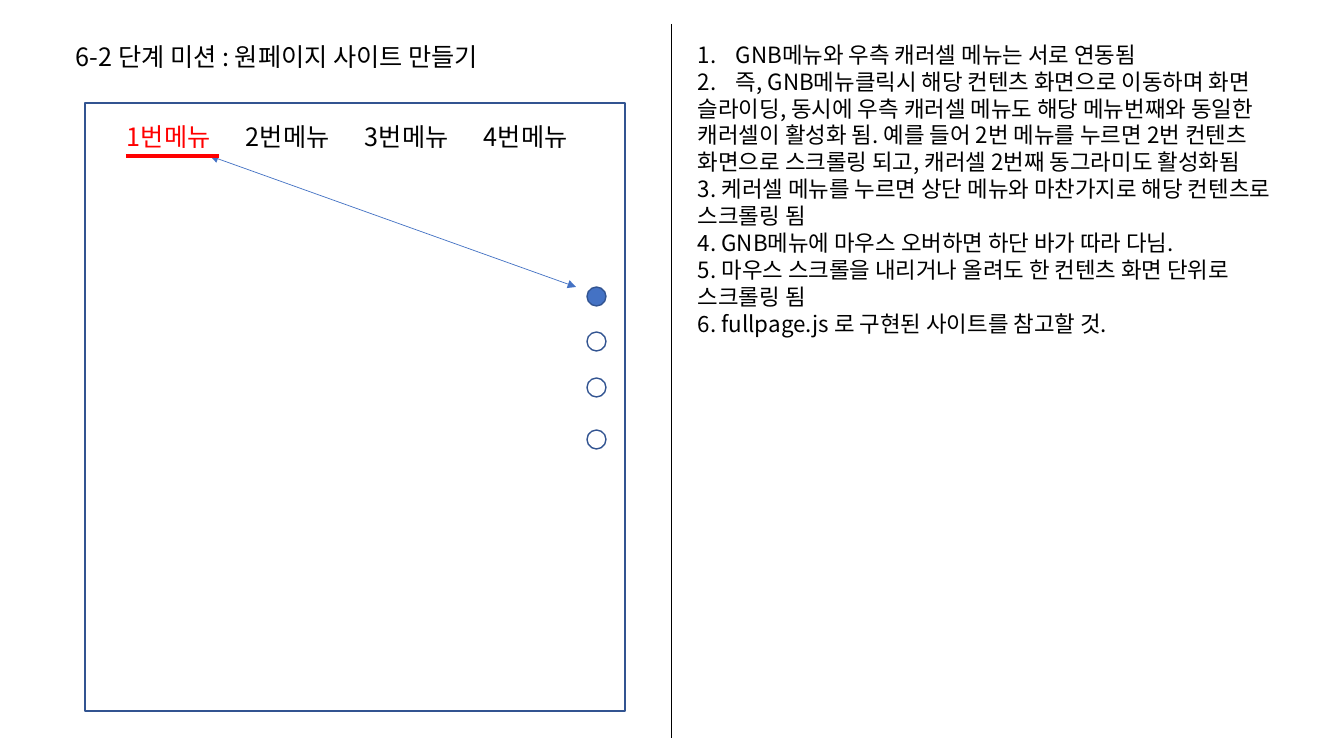
import dataclasses

import pptx
import pptx.dml.color
import pptx.enum.shapes
import pptx.enum.text
import pptx.oxml.ns
import pptx.util
from lxml import etree

EMU_PER_PX = 914400 / 100.8


@dataclasses.dataclass(frozen=True)
class Theme:
    font: str = "Noto Sans CJK KR"
    ink: str = "000000"
    paper: str = "FFFFFF"
    active: str = "FF0000"
    accent: str = "4472C4"
    outline: str = "325491"
    heading_size: int = 18
    note_size: int = 16
    line_height: float = 1.2
    hairline: float = 0.5
    border: float = 1
    bar: float = 2.25


def px(length):
    return pptx.util.Emu(round(length * EMU_PER_PX))


def rgb(code):
    return pptx.dml.color.RGBColor.from_string(code)


def add_element(parent, tag, **attributes):
    return etree.SubElement(parent, pptx.oxml.ns.qn(tag), attributes)


class Painter:
    """Draws elements on the current page in one theme."""

    def __init__(self, page, theme):
        self.page = page
        self.theme = theme

    def text(self, left, top, width, height, lines, size, color, numbered=0):
        box = self.page.shapes.add_textbox(px(left), px(top), px(width), px(height))
        frame = box.text_frame
        frame.word_wrap = False
        frame.auto_size = pptx.enum.text.MSO_AUTO_SIZE.SHAPE_TO_FIT_TEXT
        for index, line in enumerate(lines):
            para = frame.paragraphs[0] if index == 0 else frame.add_paragraph()
            para.line_spacing = pptx.util.Pt(size * self.theme.line_height)
            if index < numbered:
                self.number(para)
            span = para.add_run()
            span.text = line
            span.font.size = pptx.util.Pt(size)
            span.font.color.rgb = rgb(color)
            span.font.name = self.theme.font
            add_element(span.font._element, "a:ea", typeface=self.theme.font)

    def number(self, para):
        properties = para._p.get_or_add_pPr()
        properties.set("marL", str(px(38)))
        properties.set("indent", str(px(-38)))
        add_element(properties, "a:buFont", typeface=self.theme.font)
        add_element(properties, "a:buAutoNum", type="arabicPeriod")

    def shape(self, kind, left, top, width, height, fill=None):
        shape = self.page.shapes.add_shape(kind, px(left), px(top), px(width), px(height))
        shape.shadow.inherit = False
        if fill:
            shape.fill.solid()
            shape.fill.fore_color.rgb = rgb(fill)
        else:
            shape.fill.background()
        shape.line.color.rgb = rgb(self.theme.outline)
        shape.line.width = pptx.util.Pt(self.theme.border)

    def line(self, start, end, color, weight, arrows=False):
        line = self.page.shapes.add_connector(
            pptx.enum.shapes.MSO_CONNECTOR.STRAIGHT, *map(px, start + end))
        line.line.color.rgb = rgb(color)
        line.line.width = pptx.util.Pt(weight)
        if arrows:
            for tag in ("a:headEnd", "a:tailEnd"):
                add_element(line.line._get_or_add_ln(), tag, type="triangle")
        add_element(line._element.spPr, "a:effectLst")


NOTES = [
    "GNB메뉴와 우측 캐러셀 메뉴는 서로 연동됨",
    "즉, GNB메뉴클릭시 해당 컨텐츠 화면으로 이동하며 화면",
    "슬라이딩, 동시에 우측 캐러셀 메뉴도 해당 메뉴번째와 동일한",
    "캐러셀이 활성화 됨. 예를 들어 2번 메뉴를 누르면 2번 컨텐츠",
    "화면으로 스크롤링 되고, 캐러셀 2번째 동그라미도 활성화됨",
    "3. 케러셀 메뉴를 누르면 상단 메뉴와 마찬가지로 해당 컨텐츠로",
    "스크롤링 됨",
    "4. GNB메뉴에 마우스 오버하면 하단 바가 따라 다님.",
    "5. 마우스 스크롤을 내리거나 올려도 한 컨텐츠 화면 단위로",
    "스크롤링 됨",
    "6. fullpage.js 로 구현된 사이트를 참고할 것.",
]
DOT_TOPS = [287, 332, 378, 430]


def main():
    deck = pptx.Presentation()
    deck.slide_width, deck.slide_height = px(1344), px(756)
    theme = Theme()
    painter = Painter(deck.slides.add_slide(deck.slide_layouts[6]), theme)
    shapes = pptx.enum.shapes.MSO_SHAPE

    painter.text(66, 36, 475, 40, ["6-2 단계 미션 : 원페이지 사이트 만들기"],
                 theme.heading_size, theme.ink)
    painter.shape(shapes.RECTANGLE, 85, 103, 540, 608)
    painter.line((671, 24), (671, 738), theme.ink, theme.hairline)
    painter.text(688, 36, 667, 308, NOTES, theme.note_size, theme.ink, numbered=2)

    for index, top in enumerate(DOT_TOPS):
        selected = index == 0
        painter.text(117 + 119 * index, 116, 111, 40, [f"{index + 1}번메뉴"],
                     theme.heading_size, theme.active if selected else theme.ink)
        painter.shape(shapes.OVAL, 587, top, 19, 19,
                      theme.accent if selected else theme.paper)

    painter.line((210, 156), (576, 287), theme.accent, theme.hairline, arrows=True)
    painter.line((126, 156), (219, 156), theme.active, theme.bar)
    deck.save("out.pptx")


if __name__ == "__main__":
    main()
